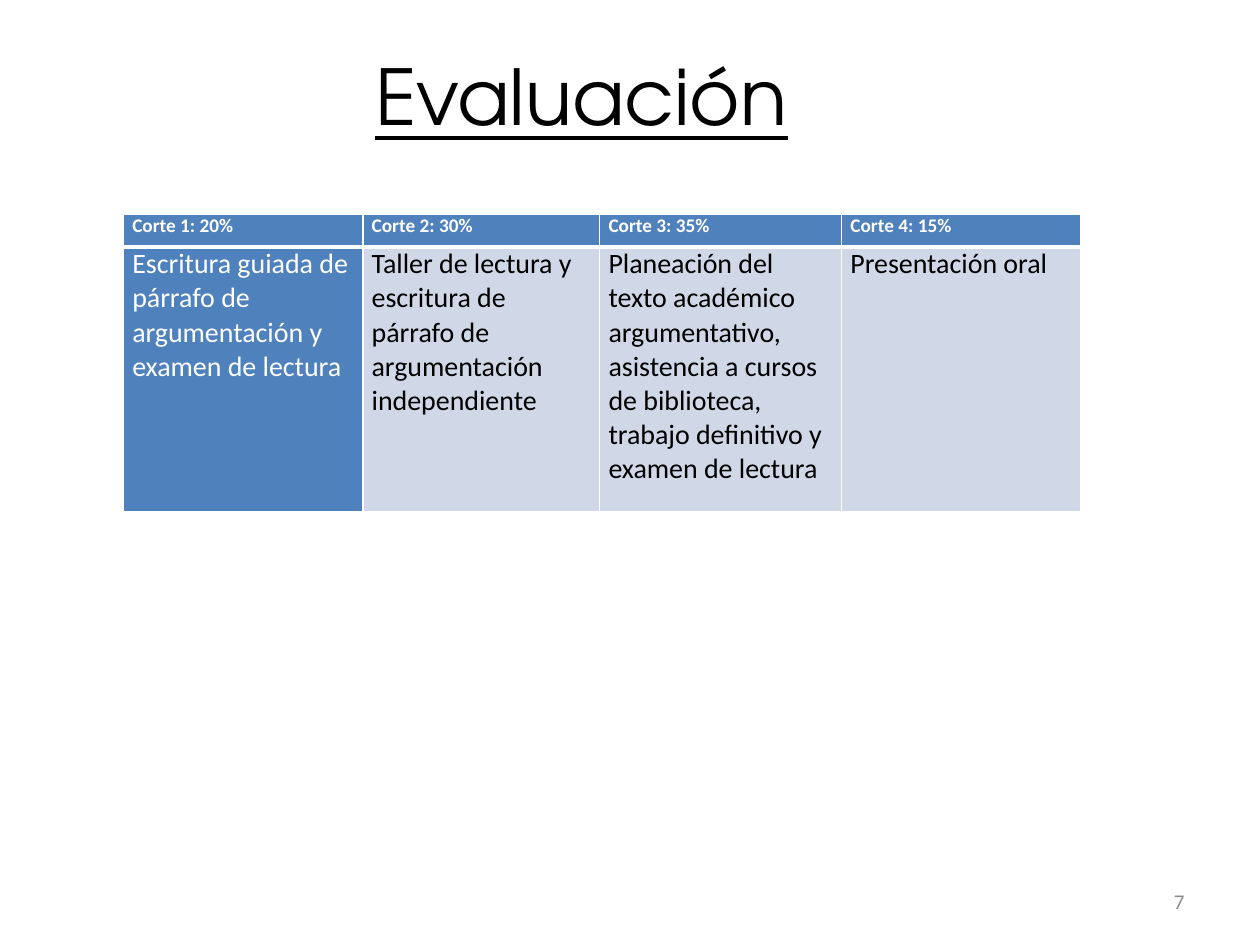
from lxml.etree import SubElement
from pptx import Presentation
from pptx.dml.color import RGBColor
from pptx.enum.text import MSO_ANCHOR, PP_ALIGN
from pptx.oxml.ns import qn
from pptx.util import Inches, Pt

COLORS = {
    "black": "000000",
    "white": "FFFFFF",
    "gray": "8C8C8C",
    "blue": "4F81BD",
    "pale": "D0D8E8",
}


def add_run(para, text, size, font, color, bold=False, underline=False):
    span = para.add_run()
    span.text = text
    span.font.size = Pt(size)
    span.font.name = font
    span.font.bold = bold
    span.font.underline = underline
    span.font.color.rgb = RGBColor.from_string(COLORS[color])


def add_box(page, left, top, width, height, align):
    box = page.shapes.add_textbox(Inches(left), Inches(top), Inches(width), Inches(height))
    box.text_frame.word_wrap = True
    box.text_frame.vertical_anchor = MSO_ANCHOR.MIDDLE
    para = box.text_frame.paragraphs[0]
    para.alignment = align
    return para


deck = Presentation()
deck.slide_width = Inches(10)
deck.slide_height = Inches(7.5)
page = deck.slides.add_slide(deck.slide_layouts[6])

title = add_box(page, 0.2, 0.13, 9, 1.25, PP_ALIGN.CENTER)
add_run(title, "Evaluación", 44, "TeX Gyre Adventor", "black", underline=True)
add_run(title, " ", 44, "TeX Gyre Adventor", "black")

number = add_box(page, 7.17, 6.95, 2.33, 0.4, PP_ALIGN.RIGHT)
add_run(number, "7", 12, "Calibri", "gray")

terms = [
    ("Corte 1: 20%", "Escritura guiada de párrafo de argumentación y examen de lectura"),
    ("Corte 2: 30%", "Taller de lectura y escritura de párrafo de argumentación independiente"),
    ("Corte 3: 35%", "Planeación del texto académico argumentativo, asistencia a cursos "
                     "de biblioteca, trabajo definitivo y examen de lectura"),
    ("Corte 4: 15%", "Presentación oral"),
]
widths = [1.9, 1.88, 1.92, 1.9]
heights = [0.26, 2.1]

table = page.shapes.add_table(
    len(heights), len(widths), Inches(0.98), Inches(1.7), Inches(sum(widths)), Inches(sum(heights))
).table
for column, width in zip(table.columns, widths):
    column.width = Inches(width)
for row, height in zip(table.rows, heights):
    row.height = Inches(height)

for column_index, texts in enumerate(terms):
    for row_index, text in enumerate(texts):
        header = row_index == 0
        dark = header or column_index == 0
        cell = table.cell(row_index, column_index)
        cell.margin_left = cell.margin_right = Inches(0.07)
        cell.margin_top = cell.margin_bottom = Inches(0)
        thick_side = "lnB" if header else "lnT"
        for side in ("lnL", "lnR", "lnT", "lnB"):
            points = 3 if side == thick_side else 1
            border = SubElement(cell._tc.get_or_add_tcPr(), qn(f"a:{side}"), w=str(Pt(points)))
            fill = SubElement(border, qn("a:solidFill"))
            SubElement(fill, qn("a:srgbClr"), val=COLORS["white"])
        cell.fill.solid()
        cell.fill.fore_color.rgb = RGBColor.from_string(COLORS["blue" if dark else "pale"])
        add_run(cell.text_frame.paragraphs[0], text, 11 if header else 16, "Calibri",
                "white" if dark else "black", bold=header)

deck.save("out.pptx")
